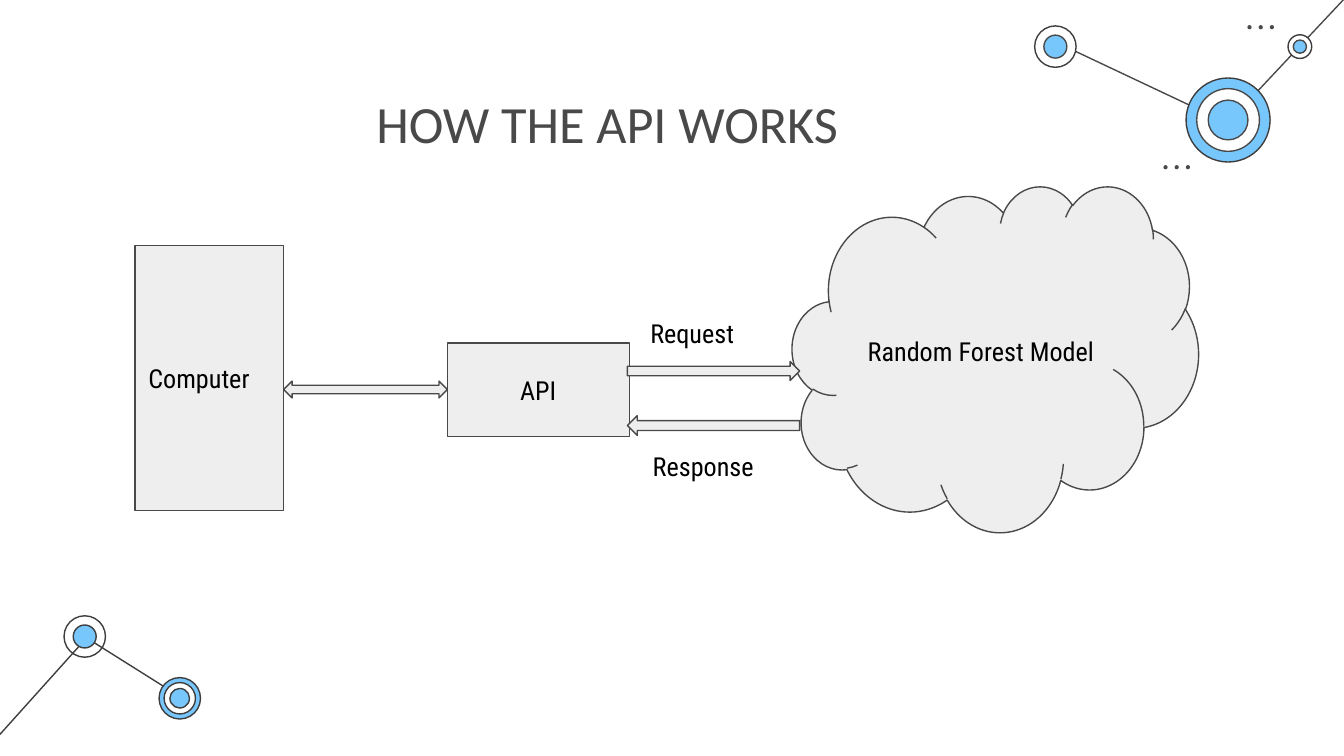
"""Build a slide showing how a computer, an API and a model exchange messages."""
import dataclasses
import typing

import lxml.etree
import pptx
import pptx.dml.color
import pptx.enum.shapes
import pptx.enum.text
import pptx.oxml.ns
import pptx.util

Pt = pptx.util.Pt
Shapes = pptx.enum.shapes.MSO_SHAPE
Align = pptx.enum.text.PP_ALIGN
Anchor = pptx.enum.text.MSO_ANCHOR
AutoSize = pptx.enum.text.MSO_AUTO_SIZE


@dataclasses.dataclass(frozen=True)
class Theme:
    blue: str = "77C6FC"
    white: str = "FFFFFF"
    panel: str = "EEEEEE"
    ink: str = "494949"
    dark: str = "3D3D3D"
    black: str = "000000"
    title_font: str = "Calibri"
    body_font: str = "Roboto Condensed"
    title_size: float = 28
    body_size: float = 14
    stroke: float = 0.75
    inset: float = 7.2


THEME = Theme()


class Box(typing.NamedTuple):
    left: float
    top: float
    width: float
    height: float

    def lengths(self) -> list:
        return [Pt(value) for value in self]


class Ring(typing.NamedTuple):
    diameter: float
    fill: typing.Optional[str]
    line: str


class Node(typing.NamedTuple):
    x: float
    y: float
    rings: tuple


class Link(typing.NamedTuple):
    start: tuple
    end: tuple
    color: str


class Block(typing.NamedTuple):
    kind: typing.Any
    box: Box
    text: str = ""
    align: typing.Any = Align.CENTER
    rotation: float = 0


class Label(typing.NamedTuple):
    box: Box
    text: str


LINKS = (
    Link((46.8, 342), (99.4, 375.1), THEME.dark),
    Link((0, 393.4), (46.8, 341.3), THEME.dark),
    Link((658.1, 66.2), (566.6, 23), THEME.ink),
    Link((720, -0.5), (658.1, 65.5), THEME.ink),
)
NODES = (
    Node(45.4, 341, (Ring(22.2, None, THEME.dark), Ring(12.3, THEME.blue, THEME.dark))),
    Node(96.3, 374.1, (Ring(22.2, THEME.blue, THEME.dark), Ring(16.8, THEME.white, THEME.dark),
                       Ring(10.5, THEME.blue, THEME.dark))),
    Node(657.9, 64.3, (Ring(45, THEME.blue, THEME.dark), Ring(33.6, THEME.white, THEME.ink),
                       Ring(21.3, THEME.blue, THEME.ink))),
    Node(565.4, 25, (Ring(22.2, THEME.white, THEME.dark), Ring(12.3, THEME.blue, THEME.ink))),
    Node(696.4, 25, (Ring(12.7, THEME.white, THEME.dark), Ring(7.1, THEME.blue, THEME.ink))),
)
DOT_ROWS = ((668.3, 13.5), (623.3, 88.5))
DOT_SIZE, DOT_STEP, DOT_COUNT = 2.2, 6, 3
BLOCKS = (
    Block(Shapes.CLOUD, Box(424.5, 99.5, 217.6, 185.3), "Random Forest Model"),
    Block(Shapes.RECTANGLE, Box(239.6, 183.8, 97.5, 50), "API"),
    Block(Shapes.RIGHT_ARROW, Box(336.1, 222.7, 92.3, 10.6), rotation=180),
    Block(Shapes.RIGHT_ARROW, Box(336.1, 193.7, 92.3, 10.2)),
    Block(Shapes.RECTANGLE, Box(72.4, 131.6, 79.6, 141.9), "Computer", Align.LEFT),
    Block(Shapes.LEFT_RIGHT_ARROW, Box(152, 204.2, 87.7, 9)),
)
LABELS = (
    Label(Box(341.3, 162.9, 80, 31.5), "Request"),
    Label(Box(342.6, 234.2, 80, 31.5), "Response"),
)


def rgb(color: str) -> pptx.dml.color.RGBColor:
    return pptx.dml.color.RGBColor.from_string(color)


def write(shape, text: str, align=Align.LEFT, anchor=Anchor.TOP, font: str = THEME.body_font,
          size: float = THEME.body_size, color: str = THEME.black) -> None:
    frame = shape.text_frame
    frame.word_wrap = True
    frame.auto_size = AutoSize.NONE
    frame.vertical_anchor = anchor
    frame.margin_left = frame.margin_right = Pt(THEME.inset)
    frame.margin_top = frame.margin_bottom = Pt(THEME.inset)
    paragraph = frame.paragraphs[0]
    paragraph.alignment = align
    run = paragraph.add_run()
    run.text = text
    run.font.name = font
    run.font.size = Pt(size)
    run.font.color.rgb = rgb(color)


def draw_shape(slide, kind, box: Box, fill: typing.Optional[str], line: typing.Optional[str]):
    shape = slide.shapes.add_shape(kind, *box.lengths())
    shape.shadow.inherit = False
    if fill:
        shape.fill.solid()
        shape.fill.fore_color.rgb = rgb(fill)
    else:
        shape.fill.background()
    if line:
        shape.line.color.rgb = rgb(line)
        shape.line.width = Pt(THEME.stroke)
    else:
        shape.line.fill.background()
    return shape


def draw_link(slide, link: Link) -> None:
    ends = [Pt(value) for value in link.start + link.end]
    connector = slide.shapes.add_connector(pptx.enum.shapes.MSO_CONNECTOR.STRAIGHT, *ends)
    connector.line.color.rgb = rgb(link.color)
    connector.line.width = Pt(THEME.stroke)
    lxml.etree.SubElement(connector._element.spPr, pptx.oxml.ns.qn("a:effectLst"))


def draw_node(slide, node: Node) -> None:
    for ring in node.rings:
        radius = ring.diameter / 2
        box = Box(node.x - radius, node.y - radius, ring.diameter, ring.diameter)
        draw_shape(slide, Shapes.OVAL, box, ring.fill, ring.line)


def draw_dots(slide, left: float, top: float) -> None:
    for index in range(DOT_COUNT):
        box = Box(left + index * DOT_STEP, top, DOT_SIZE, DOT_SIZE)
        draw_shape(slide, Shapes.OVAL, box, THEME.ink, None)


def draw_block(slide, block: Block) -> None:
    shape = draw_shape(slide, block.kind, block.box, THEME.panel, THEME.ink)
    shape.rotation = block.rotation
    if block.text:
        write(shape, block.text, block.align, Anchor.MIDDLE)


def draw_label(slide, label: Label) -> None:
    shape = slide.shapes.add_textbox(*label.box.lengths())
    write(shape, label.text)
    shape.text_frame.auto_size = AutoSize.SHAPE_TO_FIT_TEXT


def draw_title(slide, text: str, box: Box) -> None:
    title = slide.shapes.title
    title.left, title.top, title.width, title.height = box.lengths()
    write(title, text, Align.CENTER, Anchor.TOP, THEME.title_font, THEME.title_size, THEME.ink)


def main() -> None:
    presentation = pptx.Presentation()
    presentation.slide_width, presentation.slide_height = Pt(720), Pt(405)
    slide = presentation.slides.add_slide(presentation.slide_layouts.get_by_name("Title Only"))
    draw_title(slide, "HOW THE API WORKS", Box(57, 41.9, 536.4, 45.4))
    for link in LINKS:
        draw_link(slide, link)
    for node in NODES:
        draw_node(slide, node)
    for left, top in DOT_ROWS:
        draw_dots(slide, left, top)
    for block in BLOCKS:
        draw_block(slide, block)
    for label in LABELS:
        draw_label(slide, label)
    presentation.save("out.pptx")


if __name__ == "__main__":
    main()
